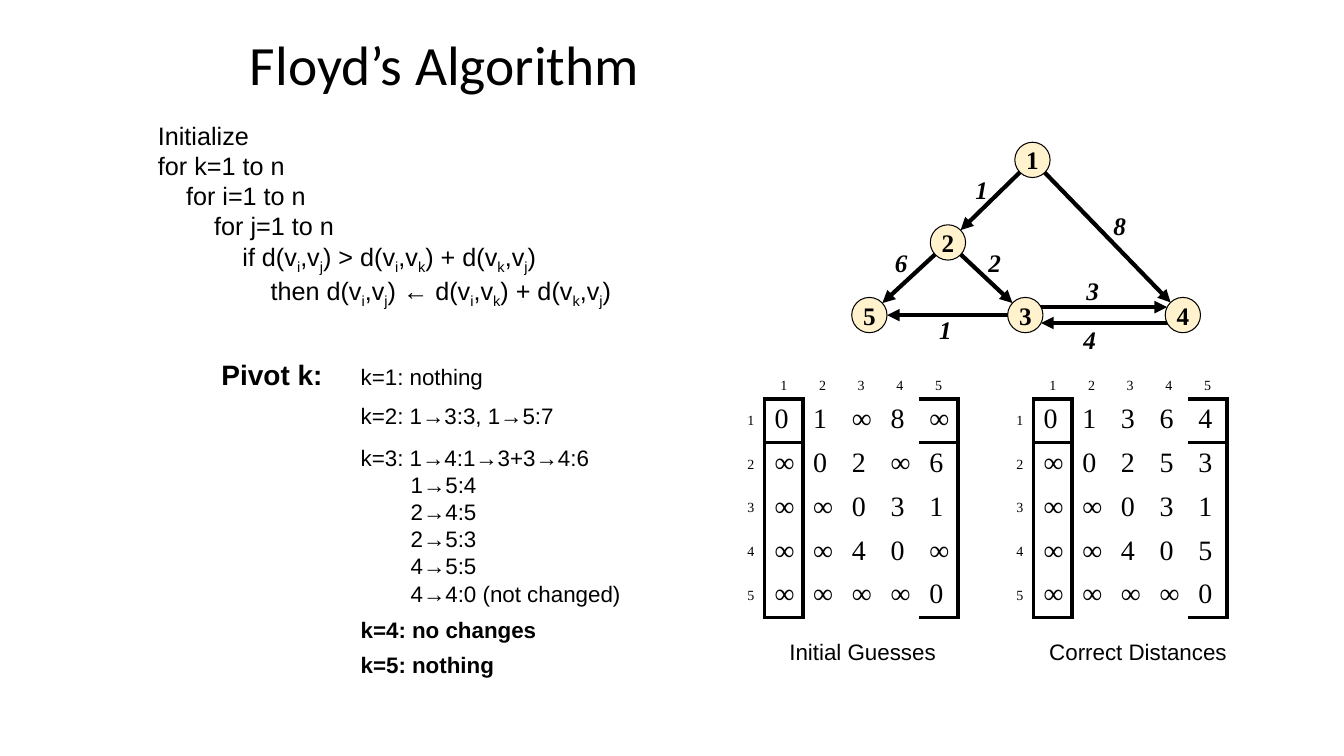
import math
from dataclasses import dataclass

from lxml import etree
from pptx import Presentation
from pptx import util as u
from pptx.dml.color import RGBColor
from pptx.enum import shapes, text
from pptx.oxml import ns


@dataclass(frozen=True)
class Theme:
    """Colours, fonts and type sizes (points) of the slide."""
    ink: RGBColor = RGBColor(0, 0, 0)
    node: RGBColor = RGBColor(0xFF, 0xF2, 0xCC)
    heading: str = "Calibri"
    body: str = "Arial"
    maths: str = "Times New Roman"
    title: float = 39.6
    large: float = 20
    code: float = 18
    note: float = 16
    index: float = 10
    stroke: float = 3
    outline: float = 0.75


NO_TABLE_STYLE = "{2D5ABB26-0587-4C30-8999-92F81FD0307C}"
NODE_SIZE = 0.89
LANE = 0.2  # sideways shift of edges that run both ways


class SlideBuilder:
    """Draws styled elements on one slide; lengths are in centimetres."""

    def __init__(self, slide, theme):
        """Keep the slide and its theme."""
        self.shapes = slide.shapes
        self.theme = theme

    def style(self, paragraph, size, font=None, bold=False, italic=False):
        """Set the font of a whole paragraph."""
        face = paragraph.font
        face.name, face.size = font or self.theme.body, u.Pt(size)
        face.bold, face.italic = bold, italic
        face.color.rgb = self.theme.ink

    def fill_line(self, paragraph, line):
        """Add a line in which the letter after each underscore is a subscript."""
        first, *rest = line.split("_")
        paragraph.add_run().text = first
        for part in rest:
            subscript = paragraph.add_run()
            subscript.text = part[0]
            subscript.font._element.set("baseline", "-25000")
            if part[1:]:
                paragraph.add_run().text = part[1:]

    def text(self, box, lines, size, indents=None, align=text.PP_ALIGN.LEFT,
             anchor=text.MSO_ANCHOR.TOP, **font):
        """Add a text box with one paragraph per line; return its paragraphs."""
        frame = self.shapes.add_textbox(*map(u.Cm, box)).text_frame
        frame.word_wrap = True
        frame.vertical_anchor = anchor
        for number, line in enumerate(lines):
            paragraph = frame.add_paragraph() if number else frame.paragraphs[0]
            self.fill_line(paragraph, line)
            self.style(paragraph, size, **font)
            paragraph.alignment = align
            if indents:
                paragraph._p.get_or_add_pPr().set("marL", str(u.Cm(indents[number])))
        return frame.paragraphs

    def node(self, label, centre):
        """Add a numbered graph node."""
        x, y = centre
        half = NODE_SIZE / 2
        circle = self.shapes.add_shape(
            shapes.MSO_SHAPE.OVAL, *map(u.Cm, (x - half, y - half, NODE_SIZE, NODE_SIZE)))
        circle.shadow.inherit = False
        circle.fill.solid()
        circle.fill.fore_color.rgb = self.theme.node
        circle.line.color.rgb = self.theme.ink
        circle.line.width = u.Pt(self.theme.outline)
        frame = circle.text_frame
        frame.margin_left = frame.margin_right = frame.margin_top = frame.margin_bottom = 0
        frame.word_wrap = False
        frame.vertical_anchor = text.MSO_ANCHOR.MIDDLE
        paragraph = frame.paragraphs[0]
        paragraph.text = str(label)
        paragraph.alignment = text.PP_ALIGN.CENTER
        self.style(paragraph, self.theme.code, self.theme.maths, bold=True)

    def edge(self, start, end, lane=0):
        """Add an arrow that stops at the rim of the end node."""
        length = math.dist(start, end)
        dx, dy = (end[0] - start[0]) / length, (end[1] - start[1]) / length
        shift_x, shift_y = lane * dy, -lane * dx
        trim = math.sqrt((NODE_SIZE / 2) ** 2 - lane ** 2)
        arrow = self.shapes.add_connector(
            shapes.MSO_CONNECTOR.STRAIGHT,
            u.Cm(start[0] + shift_x), u.Cm(start[1] + shift_y),
            u.Cm(end[0] - trim * dx + shift_x), u.Cm(end[1] - trim * dy + shift_y))
        arrow.line.color.rgb = self.theme.ink
        arrow.line.width = u.Pt(self.theme.stroke)
        etree.SubElement(arrow.line._get_or_add_ln(), ns.qn("a:tailEnd"), type="triangle")
        etree.SubElement(arrow._element.spPr, ns.qn("a:effectLst"))

    def border(self, cell, sides):
        """Draw borders on the given sides, named in the order L, R, T, B."""
        properties = cell._tc.get_or_add_tcPr()
        for position, side in enumerate(sides):
            line = etree.Element(ns.qn("a:ln" + side), w=str(u.Pt(self.theme.stroke)))
            fill = etree.SubElement(line, ns.qn("a:solidFill"))
            etree.SubElement(fill, ns.qn("a:srgbClr"), val=str(self.theme.ink))
            properties.insert(position, line)

    def matrix(self, left, top, values):
        """Add a square matrix with index labels and square brackets."""
        last = len(values)
        grid = [["", *range(1, last + 1)],
                *([number, *row] for number, row in enumerate(values, 1))]
        table = self.shapes.add_table(
            last + 1, last + 1, *map(u.Cm, (left, top, 5.85, 6.18))).table
        table._tbl.tblPr[0].text = NO_TABLE_STYLE
        table.first_row = table.horz_banding = False
        for r, row in enumerate(grid):
            table.rows[r].height = u.Cm(1.1 if r else 0.68)
            for c, value in enumerate(row):
                cell = table.cell(r, c)
                cell.fill.background()
                paragraph = cell.text_frame.paragraphs[0]
                paragraph.text = str(value)
                is_value = r and c
                self.style(paragraph, self.theme.large if is_value else self.theme.index,
                           self.theme.maths)
                if not r:
                    cell.vertical_anchor = text.MSO_ANCHOR.BOTTOM
                    paragraph.alignment = text.PP_ALIGN.CENTER
                elif not c:
                    cell.vertical_anchor = text.MSO_ANCHOR.MIDDLE
                    paragraph.alignment = text.PP_ALIGN.RIGHT
                if not (r or c):
                    etree.SubElement(paragraph._p, ns.qn("a:endParaRPr"),
                                     sz=str(self.theme.index * 100))
                outer = c in (1, last)
                drawn = {"L": r and c == 1, "R": r and c in (0, last),
                         "T": r == 1 and outer, "B": r in (0, last) and outer}
                self.border(cell, [side for side, shown in drawn.items() if shown])


def main():
    """Build the slide and save it."""
    deck = Presentation()
    deck.slide_width, deck.slide_height = u.Cm(33.87), u.Cm(19.05)
    theme = Theme()
    page = SlideBuilder(deck.slides.add_slide(deck.slide_layouts[6]), theme)

    title = page.text((6.05, 0.94, 21.6, 1.5), ["Floyd’s Algorithm"], theme.title,
                      font=theme.heading, anchor=text.MSO_ANCHOR.MIDDLE)
    title[0].line_spacing = 0.9

    pseudocode = ["Initialize", "for k=1 to n", "for i=1 to n", "for j=1 to n",
                  "if d(v_i,v_j) > d(v_i,v_k) + d(v_k,v_j)",
                  "then d(v_i,v_j) ← d(v_i,v_k) + d(v_k,v_j)"]
    page.text((3.73, 2.9, 16.28, 4.83), pseudocode, theme.code,
              indents=[0.71 * depth for depth in (0, 0, 1, 2, 3, 4)])

    page.text((5.33, 8.89, 3.1, 1.09), ["Pivot k:"], theme.large, bold=True)
    pivots = [(9.02, ["k=1: nothing"], False),
              (10.01, ["k=2: 1→3:3, 1→5:7"], False),
              (11.07, ["k=3: 1→4:1→3+3→4:6", "1→5:4", "2→4:5", "2→5:3", "4→5:5",
                       "4→4:0 (not changed)"], False),
              (15.39, ["k=4: no changes"], True),
              (16.28, ["k=5: nothing"], True)]
    for top, steps, bold in pivots:
        indents = [0] + [1.26] * (len(steps) - 1)
        lines = page.text((8.84, top, 9, 0.94 * len(steps)), steps, theme.note, indents, bold=bold)
        if len(steps) > 1:
            lines[-1].space_before = u.Pt(1)

    nodes = {1: (26.02, 4.03), 2: (23.89, 6.11), 3: (25.84, 7.94),
             4: (29.81, 7.94), 5: (21.91, 7.94)}
    edges = [(1, 2, 1, (24.33, 4.27)), (1, 4, 8, (27.81, 5.18)),
             (2, 5, 6, (22.3, 6.12)), (2, 3, 2, (24.66, 6.12)),
             (3, 5, 1, (23.42, 7.8)), (3, 4, 3, (27.13, 6.81)),
             (4, 3, 4, (27.05, 8.05))]
    pairs = {(start, end) for start, end, *_ in edges}
    for start, end, weight, corner in edges:
        page.edge(nodes[start], nodes[end], LANE if (end, start) in pairs else 0)
        page.text((*corner, 0.97, 1.02), [str(weight)], theme.code,
                  font=theme.maths, bold=True, italic=True)
    for label, centre in nodes.items():
        page.node(label, centre)

    matrices = [("Initial Guesses", 18.29, 19.2, ["01∞8∞", "∞02∞6", "∞∞031", "∞∞40∞", "∞∞∞∞0"]),
                ("Correct Distances", 25.07, 26.14, ["01364", "∞0253", "∞∞031", "∞∞405", "∞∞∞∞0"])]
    for caption, left, caption_left, distances in matrices:
        page.matrix(left, 9.37, distances)
        page.text((caption_left, 15.95, 5.08, 0.94), [caption], theme.note,
                  align=text.PP_ALIGN.CENTER)

    deck.save("out.pptx")


main()
